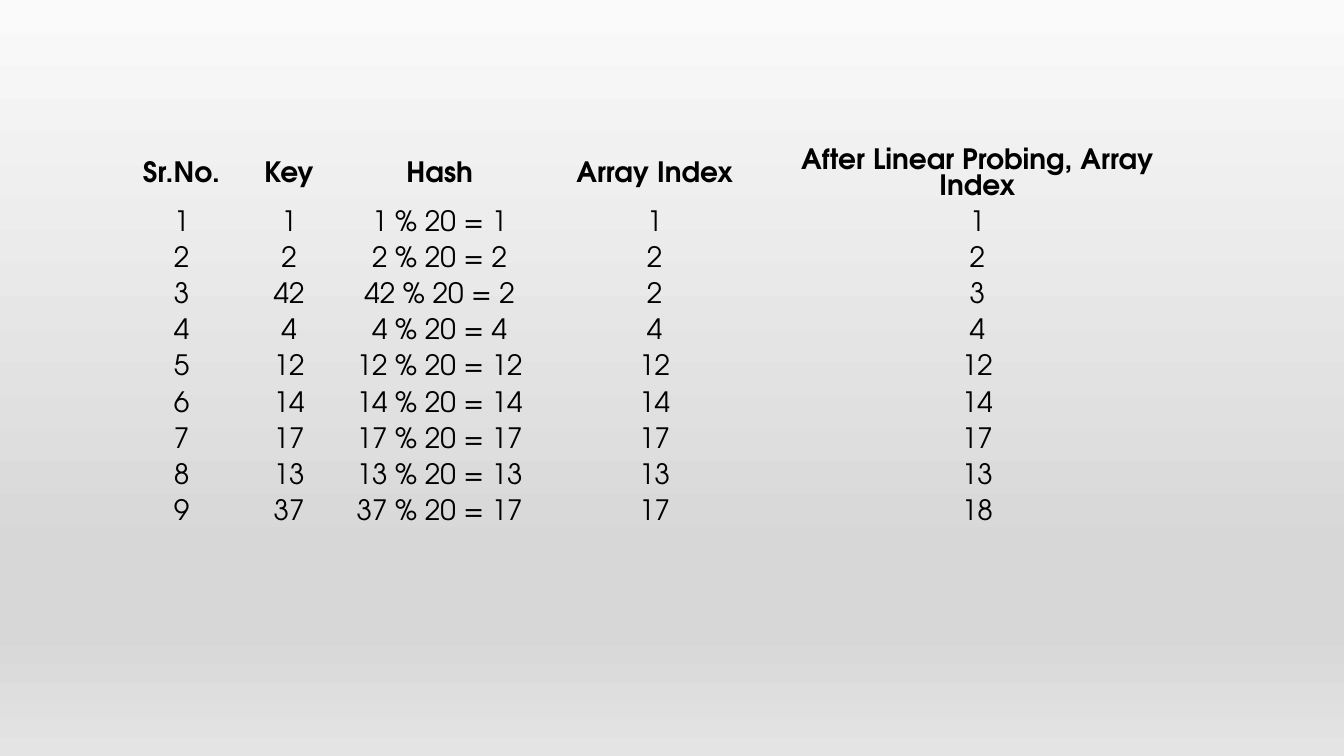
from copy import deepcopy
from dataclasses import dataclass

from pptx import Presentation
from pptx.dml.color import RGBColor
from pptx.enum.text import MSO_ANCHOR, PP_ALIGN
from pptx.oxml.ns import qn
from pptx.util import Cm, Pt

CENTER = PP_ALIGN.CENTER
MIDDLE = MSO_ANCHOR.MIDDLE
NO_GRID_STYLE = "{2D5ABB26-0587-4C30-8999-92F81FD0307C}"
TABLE_SIZE = 20
HEADERS = ["Sr.No.", "Key", "Hash", "Array Index", "After Linear Probing, Array Index"]
KEYS = [1, 2, 42, 4, 12, 14, 17, 13, 37]


@dataclass
class Theme:
    font: str = "TeX Gyre Adventor"
    size: int = 20
    ink: str = "000000"
    backdrop: tuple = ((0, "FAFAFA"), (0.74, "D7D7D7"), (0.83, "D7D7D7"), (1, "E4E4E4"))


class Deck:
    """Hold the theme and the current slide, and add elements to it."""

    def __init__(self, prs, theme):
        self.theme = theme
        self.s = prs.slides.add_slide(prs.slide_layouts[6])

    def add_text(self, tf, text, bold=False, align=CENTER):
        p = tf.paragraphs[0]
        p.alignment = align
        r = p.add_run()
        r.text = text
        r.font.name = self.theme.font
        r.font.size = Pt(self.theme.size)
        r.font.bold = bold
        r.font.color.rgb = RGBColor.from_string(self.theme.ink)

    def backdrop(self):
        fill = self.s.background.fill
        fill.gradient()
        fill.gradient_angle = 270
        stops = self.s.element.find(".//" + qn("a:gsLst"))
        while len(stops) < len(self.theme.backdrop):
            stops.append(deepcopy(stops[0]))
        for stop, (position, color) in zip(fill.gradient_stops, self.theme.backdrop):
            stop.position = position
            stop.color.rgb = RGBColor.from_string(color)

    def table(self, rows, left, top, widths, header_height, row_height):
        heights = [header_height] + [row_height] * (len(rows) - 1)
        frame = self.s.shapes.add_table(
            len(rows), len(widths), Cm(left), Cm(top), Cm(sum(widths)), Cm(sum(heights)))
        table = frame.table
        table.horz_banding = False
        frame.element.find(".//" + qn("a:tableStyleId")).text = NO_GRID_STYLE
        for column, width in zip(table.columns, widths):
            column.width = Cm(width)
        for i, (row, height) in enumerate(zip(rows, heights)):
            table.rows[i].height = Cm(height)
            for cell, value in zip(table.rows[i].cells, row):
                cell.fill.background()
                cell.vertical_anchor = MIDDLE
                self.add_text(cell.text_frame, str(value), bold=i == 0)


def probe_rows(keys):
    taken = set()
    rows = []
    for number, key in enumerate(keys, 1):
        index = slot = key % TABLE_SIZE
        while slot in taken:
            slot = (slot + 1) % TABLE_SIZE
        taken.add(slot)
        rows.append([number, key, f"{key} % {TABLE_SIZE} = {index}", index, slot])
    return rows


def main():
    prs = Presentation()
    prs.slide_width, prs.slide_height = Cm(33.87), Cm(19.05)
    deck = Deck(prs, Theme())
    deck.backdrop()
    deck.table([HEADERS] + probe_rows(KEYS), left=2.95, top=3.61,
               widths=[3.25, 2.17, 5.42, 5.42, 10.84],
               header_height=1.57, row_height=0.91)
    prs.save("out.pptx")


if __name__ == "__main__":
    main()
